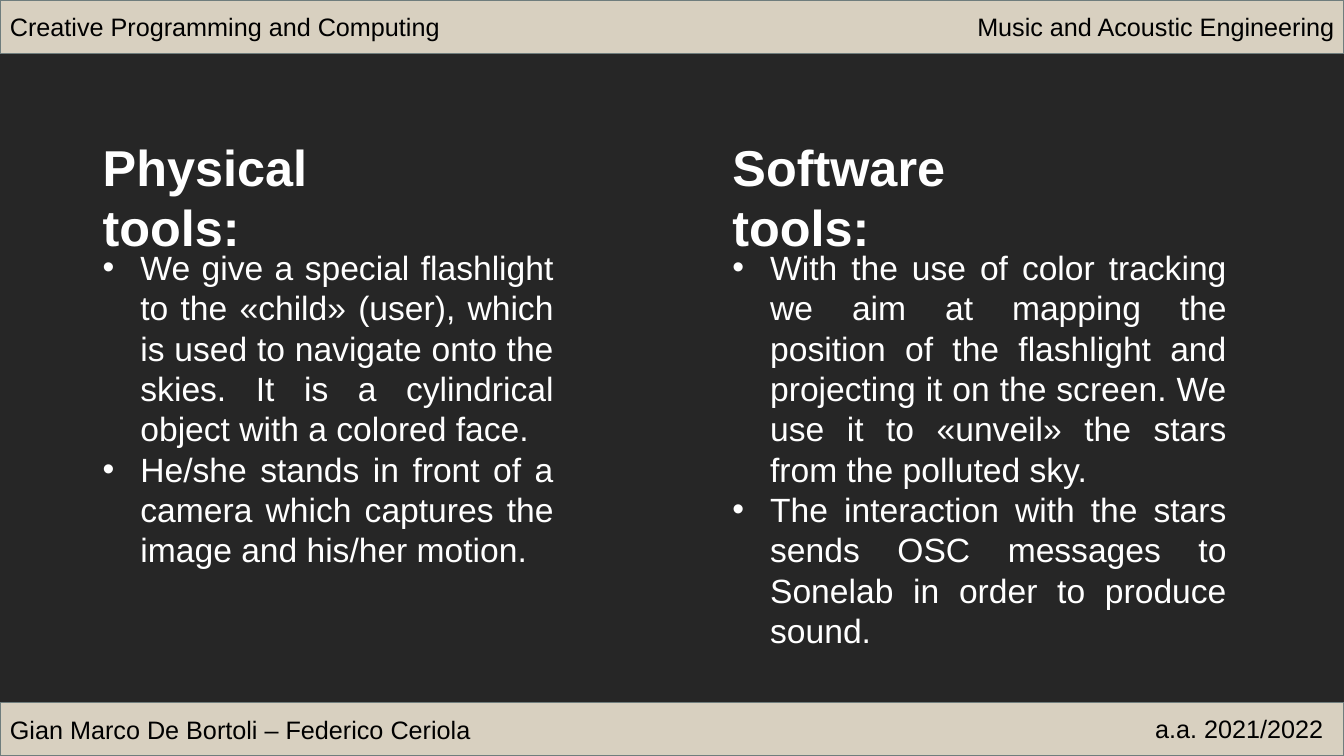
from lxml import etree
from pptx import Presentation
from pptx import util as u
from pptx.dml.color import RGBColor
from pptx.enum import shapes, text
from pptx.oxml import ns

DARK = RGBColor(0x26, 0x26, 0x26)
SAND = RGBColor(0xD8, 0xD0, 0xC0)
EDGE = RGBColor(0x6F, 0x7D, 0x7D)
BLACK = RGBColor(0, 0, 0)
WHITE = RGBColor(255, 255, 255)

WIDE, HIGH, BAND = 33.87, 19.05, 1.35
ALIGN = text.PP_ALIGN


def write(para, words, size=18, color=BLACK, bold=False, align=ALIGN.LEFT, bullet=None):
    run = para.add_run()
    run.text = words
    run.font.name = "Arial"
    run.font.size = u.Pt(size)
    run.font.bold = bold
    run.font.color.rgb = color
    para.alignment = align
    if bullet:
        props = para._p.get_or_add_pPr()
        props.set("marL", str(u.Cm(0.95)))
        props.set("indent", str(u.Cm(-0.95)))
        etree.SubElement(props, ns.qn("a:buFont")).set("typeface", "Arial")
        etree.SubElement(props, ns.qn("a:buChar")).set("char", bullet)


class Page:
    def __init__(self, deck):
        self.slide = deck.slides.add_slide(deck.slide_layouts[6])
        fill = self.slide.background.fill
        fill.solid()
        fill.fore_color.rgb = DARK

    def panel(self, top, high, color, edge=None, label=None):
        box = self.slide.shapes.add_shape(
            shapes.MSO_SHAPE.RECTANGLE, 0, u.Cm(top), u.Cm(WIDE), u.Cm(high))
        box.shadow.inherit = False
        box.fill.solid()
        box.fill.fore_color.rgb = color
        if edge:
            box.line.color.rgb = edge
            box.line.width = u.Pt(1)
        else:
            box.line.fill.background()
        if label:
            box.text_frame.vertical_anchor = text.MSO_ANCHOR.MIDDLE
            write(box.text_frame.paragraphs[0], label)

    def words(self, left, top, wide, high, lines, wrap=True, **style):
        box = self.slide.shapes.add_textbox(*map(u.Cm, (left, top, wide, high)))
        frame = box.text_frame
        frame.word_wrap = wrap
        for i, line in enumerate(lines):
            para = frame.add_paragraph() if i else frame.paragraphs[0]
            write(para, line, **style)

    def column(self, left, title, span, wide, high, points):
        self.words(left, 3.3, span, 1.8, [title], size=36, color=WHITE, bold=True)
        self.words(left, 6.1, wide, high, points, size=24, color=WHITE,
                   align=ALIGN.JUSTIFY, bullet="•")


def main():
    deck = Presentation()
    deck.slide_width, deck.slide_height = u.Cm(WIDE), u.Cm(HIGH)
    page = Page(deck)
    page.panel(0, HIGH, DARK)
    page.panel(HIGH - BAND, BAND, SAND, EDGE, "Gian Marco De Bortoli – Federico Ceriola")
    page.panel(0, BAND, SAND, EDGE, "Creative Programming and Computing")
    page.words(28.75, 17.86, 4.85, 1.02, ["a.a. 2021/2022"], wrap=False, align=ALIGN.RIGHT)
    page.words(24.05, 0.15, 9.83, 1.02, ["Music and Acoustic Engineering"],
               wrap=False, align=ALIGN.RIGHT)
    page.column(2.34, "Physical tools:", 8.64, 11.86, 8.46, [
        "We give a special flashlight to the «child» (user), which is used to navigate "
        "onto the skies. It is a cylindrical object with a colored face.",
        "He/she stands in front of a camera which captures the image and his/her motion.",
    ])
    page.column(18.21, "Software tools:", 9.09, 12.95, 10.52, [
        "With the use of color tracking we aim at mapping the position of the flashlight "
        "and projecting it on the screen. We use it to «unveil» the stars from the "
        "polluted sky.",
        "The interaction with the stars sends OSC messages to Sonelab in order to "
        "produce sound.",
    ])
    deck.save("out.pptx")


if __name__ == "__main__":
    main()
